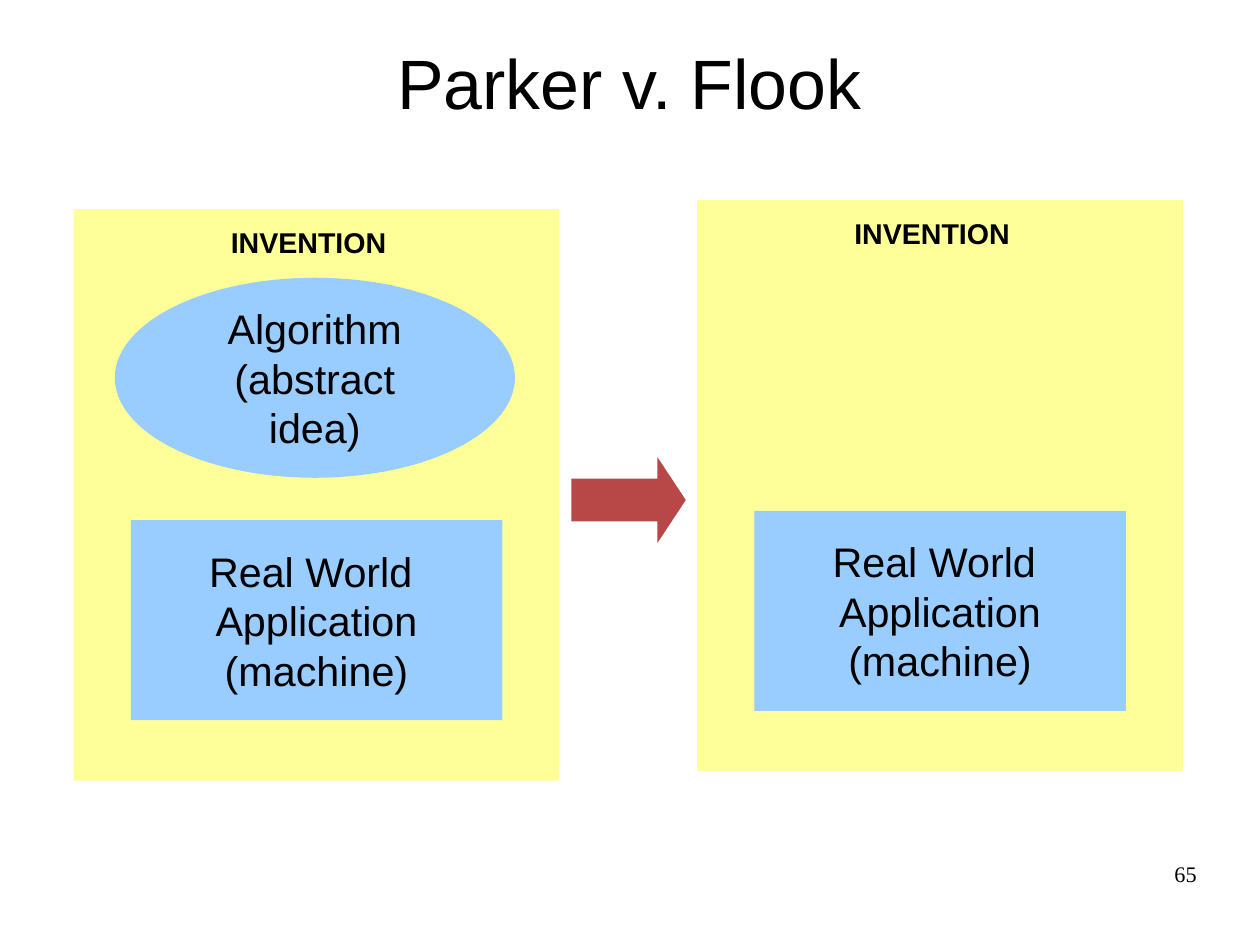
import pptx
import pptx.util
import pptx.dml.color
import pptx.enum.shapes
import pptx.enum.text

SHAPE = pptx.enum.shapes.MSO_SHAPE
ALIGN = pptx.enum.text.PP_ALIGN
ANCHOR = pptx.enum.text.MSO_ANCHOR
COLORS = {"text": "000000", "panel": "FFFF99", "part": "99CCFF", "arrow": "B84747"}
CELL = pptx.util.Inches(0.25)


def cells(*counts):
    return [round(n * CELL) for n in counts]


def write(sp, text, size=26, font="Arial", bold=False, align=ALIGN.CENTER,
          anchor=ANCHOR.MIDDLE, inset=(0.1, 0.05)):
    tf = sp.text_frame
    tf.word_wrap = True
    tf.vertical_anchor = anchor
    tf.margin_left = tf.margin_right = pptx.util.Inches(inset[0])
    tf.margin_top = tf.margin_bottom = pptx.util.Inches(inset[1])
    for i, line in enumerate(text.split("\n")):
        p = tf.add_paragraph() if i else tf.paragraphs[0]
        p.alignment = align
        r = p.add_run()
        r.text = line
        r.font.name = font
        r.font.size = pptx.util.Pt(size)
        r.font.bold = bold
        r.font.color.rgb = pptx.dml.color.RGBColor.from_string(COLORS["text"])


def add_block(s, kind, box, color):
    sp = s.shapes.add_shape(kind, *cells(*box))
    sp.shadow.inherit = False
    sp.fill.solid()
    sp.fill.fore_color.rgb = pptx.dml.color.RGBColor.from_string(COLORS[color])
    sp.line.fill.background()
    return sp


def add_title(s, box, text):
    title = s.shapes.title
    title.left, title.top, title.width, title.height = cells(*box)
    write(title, text, size=44, inset=(0, 0))


def add_invention(s, box, parts):
    left, top, _, _ = box
    add_block(s, SHAPE.RECTANGLE, box, "panel")
    for kind, (x, y, w, h), text in parts:
        sp = add_block(s, kind, (left + x, top + y, w, h), "part")
        write(sp, text)
    label = s.shapes.add_textbox(*cells(left + 3.22, top + 0.36, 10, 1.52))
    write(label, "INVENTION", size=18, bold=True, anchor=ANCHOR.TOP)


def add_arrow(s, box):
    arrow = add_block(s, SHAPE.RIGHT_ARROW, box, "arrow")
    arrow.adjustments[0] = 0.5
    arrow.adjustments[1] = 0.33


def add_page_number(s, box, number):
    sp = s.shapes.add_textbox(*cells(*box))
    write(sp, number, size=14, font="Times New Roman", align=ALIGN.RIGHT,
          anchor=ANCHOR.TOP, inset=(0, 0))


def main():
    prs = pptx.Presentation()
    prs.slide_width = pptx.util.Cm(28)
    prs.slide_height = pptx.util.Cm(21)
    s = prs.slides.add_slide(prs.slide_layouts[5])

    algorithm = (SHAPE.OVAL, (1.44, 2.4, 14, 7), "Algorithm\n(abstract idea)")
    application = (SHAPE.RECTANGLE, (2, 10.88, 13, 7),
                   "Real World \nApplication\n(machine)")

    add_title(s, (2.2, 0.28, 39.68, 5.12), "Parker v. Flook")
    add_invention(s, (2.58, 7.32, 17, 20), [algorithm, application])
    add_invention(s, (24.4, 7, 17, 20), [application])
    add_arrow(s, (20, 16, 4, 3))
    add_page_number(s, (31.6, 30.12, 10.28, 2.28), "65")
    prs.save("out.pptx")


if __name__ == "__main__":
    main()
